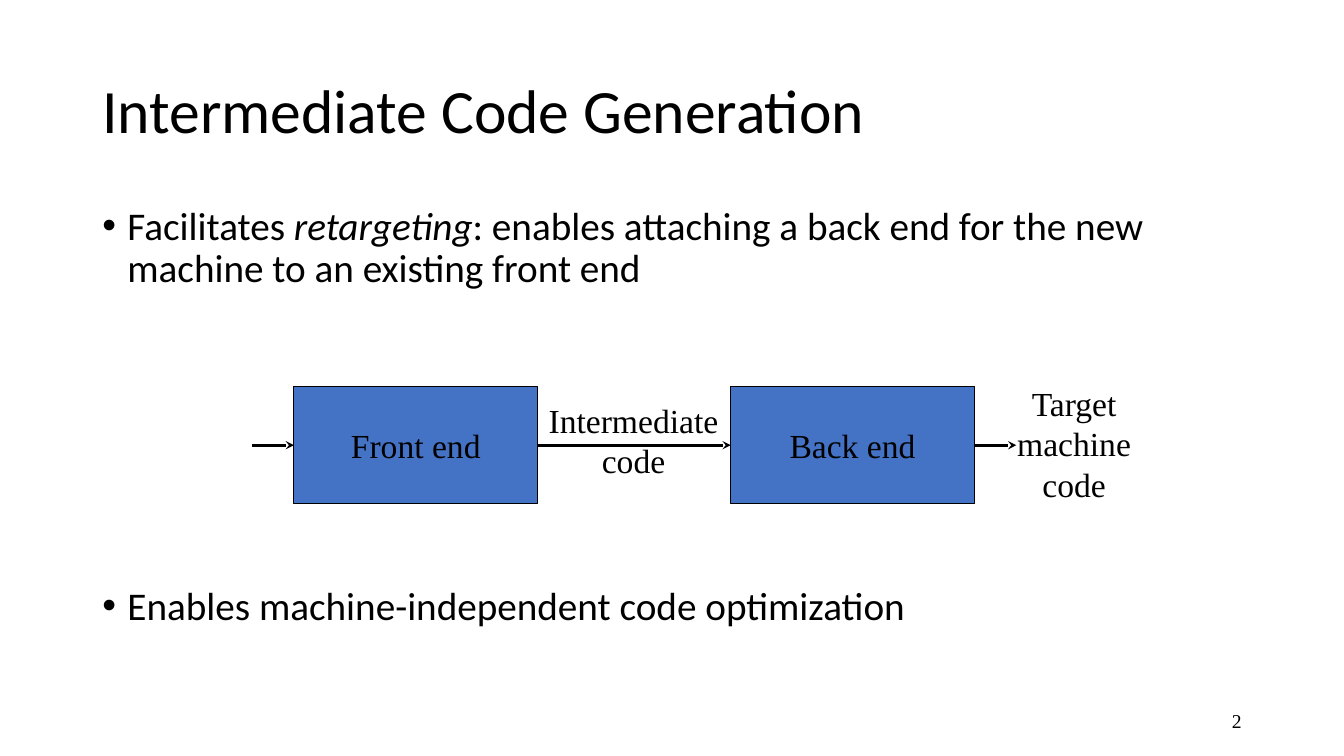
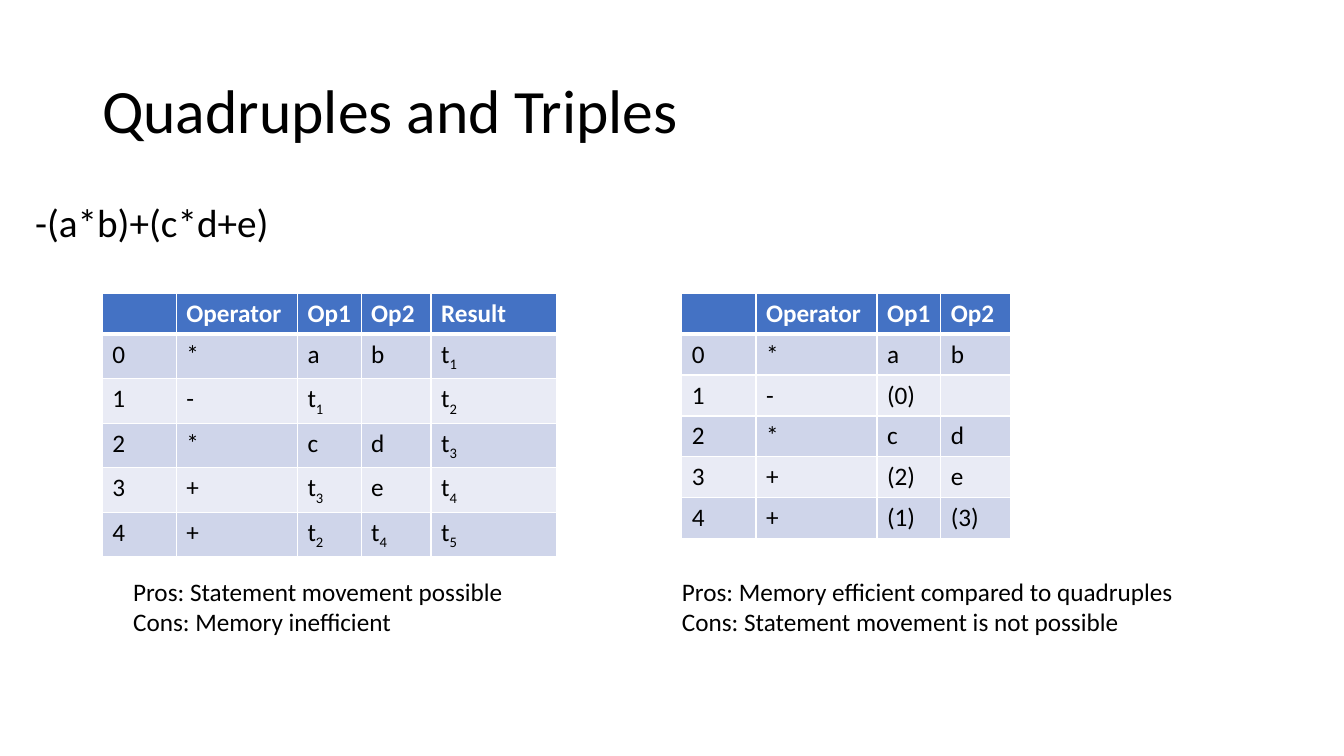
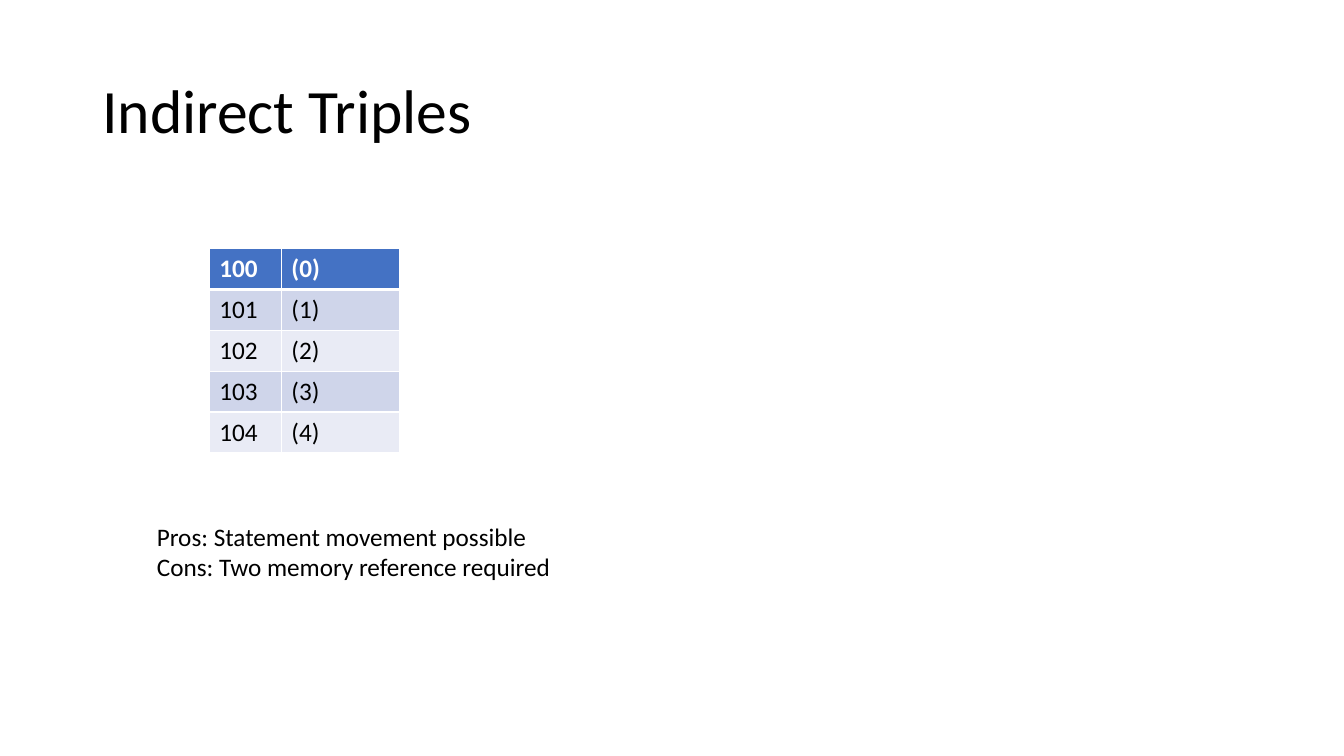
from pptx import Presentation
from pptx import oxml
from pptx.dml.color import RGBColor
from pptx.enum import shapes, text
from pptx.oxml import ns
from pptx.util import Pt

BLACK = RGBColor(0x00, 0x00, 0x00)
WHITE = RGBColor(0xFF, 0xFF, 0xFF)
BLUE = RGBColor(0x44, 0x72, 0xC4)
BANDS = RGBColor(0xCF, 0xD5, 0xEA), RGBColor(0xE9, 0xEB, 0xF5)
SANS, SERIF = "Calibri", "Times New Roman"

TITLE = {"size": Pt(44), "name": SANS}
BODY = {"size": Pt(28), "name": SANS}
NOTE = {"size": Pt(18), "name": SANS}
LABEL = {"size": Pt(24), "name": SERIF}
NUMBER = {"size": Pt(14), "name": SERIF}

MID, TOP = text.MSO_ANCHOR.MIDDLE, text.MSO_ANCHOR.TOP
LEFT, CENTER, RIGHT = text.PP_ALIGN.LEFT, text.PP_ALIGN.CENTER, text.PP_ALIGN.RIGHT

# Bullets: top, height, runs (text, italic)
BULLETS = [
    (144, 72, [("Facilitates ", False), ("retargeting", True),
               (": enables attaching a back end for the new machine to an existing front end", False)]),
    (415.4, 40, [("Enables machine-independent code optimization", False)]),
]
STAGES = [("Front end", 210), ("Back end", 522)]
STAGE_TOP, STAGE_W, STAGE_H, STUB = 276, 174, 84, 30
LABELS = [("Intermediate\ncode", (384, 282, 137, 65.5)),
          ("Target\nmachine\ncode", (719, 270, 96.5, 94.5))]

# An underscore marks a subscript
QUADS = [
    ["", "Operator", "Op1", "Op2", "Result"],
    ["0", "*", "a", "b", "t_1"],
    ["1", "-", "t_1", "", "t_2"],
    ["2", "*", "c", "d", "t_3"],
    ["3", "+", "t_3", "e", "t_4"],
    ["4", "+", "t_2", "t_4", "t_5"],
]
TRIPLES = [
    ["", "Operator", "Op1", "Op2"],
    ["0", "*", "a", "b"],
    ["1", "-", "(0)", ""],
    ["2", "*", "c", "d"],
    ["3", "+", "(2)", "e"],
    ["4", "+", "(1)", "(3)"],
]
POINTERS = [[str(100 + n), f"({n})"] for n in range(5)]
COLS = [53, 86.5, 45.5, 50, 89.5]
ROW_H = 29.2

QUAD_NOTE = ["Pros: Statement movement possible", "Cons: Memory inefficient"]
TRIPLE_NOTE = ["Pros: Memory efficient compared to quadruples",
               "Cons: Statement movement is not possible"]
POINTER_NOTE = ["Pros: Statement movement possible",
                "Cons: Two memory reference required"]


def style(run, form, color=BLACK):
    for key, value in form.items():
        setattr(run.font, key, value)
    run.font.color.rgb = color


def add_run(para, words, form, color=BLACK):
    run = para.add_run()
    run.text = words
    style(run, form, color)
    return run


def add_lines(para, words, form):
    """Write words into para, breaking the line at each newline."""
    for n, line in enumerate(words.split("\n")):
        if n:
            para.add_line_break()
        add_run(para, line, form)


def add_box(slide, spot, paras, form, align=LEFT, anchor=TOP, wrap=True, spacing=None):
    frame = slide.shapes.add_textbox(*map(Pt, spot)).text_frame
    frame.word_wrap = wrap
    frame.vertical_anchor = anchor
    if not wrap:
        frame.auto_size = text.MSO_AUTO_SIZE.SHAPE_TO_FIT_TEXT
    for n, words in enumerate(paras):
        para = frame.add_paragraph() if n else frame.paragraphs[0]
        para.alignment = align
        if spacing:
            para.line_spacing = spacing
        add_lines(para, words, form)
    return frame


def add_slide(deck, title):
    slide = deck.slides.add_slide(deck.slide_layouts[6])
    add_box(slide, (66, 28.8, 828, 104.4), [title], TITLE, anchor=MID, spacing=0.9)
    return slide


def add_bullet(slide, top, height, runs):
    para = add_box(slide, (66, top, 828, height), [], BODY).paragraphs[0]
    props = para._p.get_or_add_pPr()
    props.set("marL", str(Pt(18)))
    props.set("indent", str(-Pt(18)))
    for tag, key, value in (("a:buFont", "typeface", "Arial"), ("a:buChar", "char", "•")):
        oxml.xmlchemy.OxmlElement(tag)
        mark = props.makeelement(ns.qn(tag), {key: value})
        props.append(mark)
    para.line_spacing = 0.9
    for words, italic in runs:
        add_run(para, words, {**BODY, "italic": italic})


def add_stage(slide, name, left):
    box = slide.shapes.add_shape(shapes.MSO_SHAPE.RECTANGLE,
                                 *map(Pt, (left, STAGE_TOP, STAGE_W, STAGE_H)))
    box.shadow.inherit = False
    box.fill.solid()
    box.fill.fore_color.rgb = BLUE
    box.line.color.rgb = BLACK
    box.line.width = Pt(0.75)
    frame = box.text_frame
    frame.word_wrap = False
    frame.vertical_anchor = MID
    frame.paragraphs[0].alignment = CENTER
    add_run(frame.paragraphs[0], name, LABEL)
    return box


def add_arrow(slide, start, end, source=None, target=None):
    """Draw a level arrow, joined to the stages at either end where given."""
    y = Pt(STAGE_TOP + STAGE_H / 2)
    arrow = slide.shapes.add_connector(shapes.MSO_CONNECTOR.STRAIGHT, Pt(start), y, Pt(end), y)
    if source:
        arrow.begin_connect(source, 3)
    if target:
        arrow.end_connect(target, 1)
    arrow.line.color.rgb = BLACK
    arrow.line.width = Pt(2)
    line = arrow.line._get_or_add_ln()
    line.append(line.makeelement(ns.qn("a:tailEnd"), {"type": "stealth"}))
    props = arrow._element.spPr
    props.append(props.makeelement(ns.qn("a:effectLst"), {}))


def set_borders(cell, top, bottom):
    props = cell._tc.get_or_add_tcPr()
    sides = (("L", 1), ("R", 1), ("T", top), ("B", bottom))
    for n, (side, width) in enumerate(sides):
        props.insert(n, oxml.parse_xml(
            f'<a:ln{side} {ns.nsdecls("a")} w="{Pt(width)}"><a:solidFill>'
            f'<a:srgbClr val="{WHITE}"/></a:solidFill></a:ln{side}>'))


def add_table(slide, left, top, widths, rows):
    grid = slide.shapes.add_table(len(rows), len(widths), *map(
        Pt, (left, top, sum(widths), ROW_H * len(rows)))).table
    for col, width in zip(grid.columns, widths):
        col.width = Pt(width)
    for r, row in enumerate(rows):
        grid.rows[r].height = Pt(ROW_H)
        for c, words in enumerate(row):
            cell = grid.cell(r, c)
            cell.fill.solid()
            cell.fill.fore_color.rgb = BANDS[(r - 1) % 2] if r else BLUE
            set_borders(cell, 3 if r == 1 else 1, 1 if r else 3)
            form, color = {**NOTE, "bold": r == 0}, BLACK if r else WHITE
            base, _, sub = words.partition("_")
            para = cell.text_frame.paragraphs[0]
            if base:
                add_run(para, base, form, color)
            if sub:
                run = add_run(para, sub, form, color)
                run._r.get_or_add_rPr().set("baseline", "-25000")


def build_flow(deck):
    slide = add_slide(deck, "Intermediate Code Generation")
    add_box(slide, (678, 500.4, 216, 28.8), ["2"], NUMBER, RIGHT, MID)
    for bullet in BULLETS:
        add_bullet(slide, *bullet)
    front, back = [add_stage(slide, *stage) for stage in STAGES]
    start, last = STAGES[0][1], STAGES[1][1]
    add_arrow(slide, start - STUB, start, target=front)
    add_arrow(slide, start + STAGE_W, last, front, back)
    add_arrow(slide, last + STAGE_W, last + STAGE_W + STUB, back)
    for words, spot in LABELS:
        add_box(slide, spot, [words], LABEL, CENTER, wrap=False)


def build_tables(deck):
    slide = add_slide(deck, "Quadruples and Triples")
    add_box(slide, (18, 141.8, 828, 40), ["-(a*b)+(c*d+e)"], BODY, spacing=0.9)
    add_table(slide, 73, 209.5, COLS, QUADS)
    add_table(slide, 487, 209.5, COLS[:4], TRIPLES)
    add_box(slide, (88, 408, 281.5, 51), QUAD_NOTE, NOTE, wrap=False)
    add_box(slide, (480, 408, 369.5, 51), TRIPLE_NOTE, NOTE, wrap=False)


def build_pointers(deck):
    slide = add_slide(deck, "Indirect Triples")
    add_table(slide, 149.5, 177.5, [51.5, 84.5], POINTERS)
    add_box(slide, (105, 368.5, 299, 51), POINTER_NOTE, NOTE, wrap=False)


def main():
    deck = Presentation()
    deck.slide_width, deck.slide_height = Pt(960), Pt(540)
    for build in (build_flow, build_tables, build_pointers):
        build(deck)
    deck.save("out.pptx")


if __name__ == "__main__":
    main()
